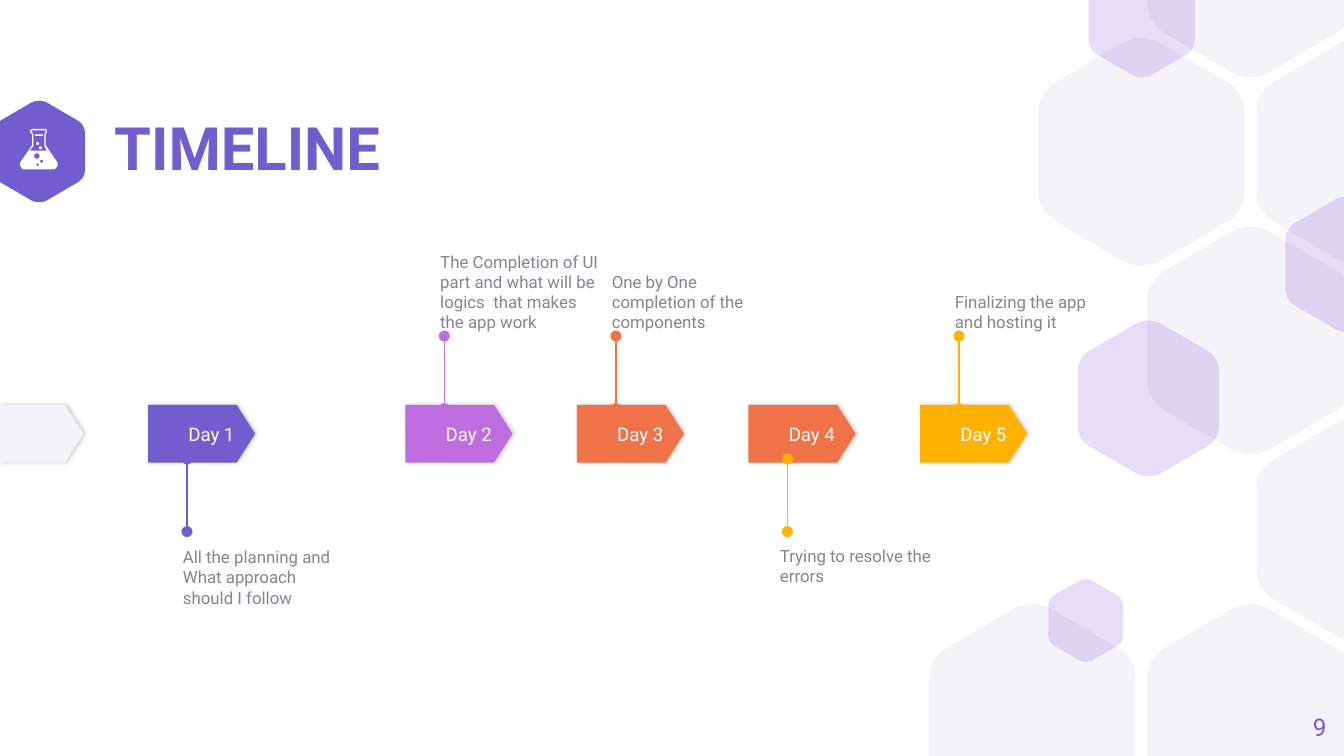
"""Build the five-day timeline slide."""
from math import cos, pi, sin

from lxml import etree
from pptx import Presentation
from pptx.dml.color import RGBColor
from pptx.enum.shapes import MSO_CONNECTOR, MSO_SHAPE
from pptx.enum.text import MSO_ANCHOR, MSO_AUTO_SIZE, PP_ALIGN
from pptx.oxml.ns import qn
from pptx.util import Pt

LEFT, RIGHT = PP_ALIGN.LEFT, PP_ALIGN.RIGHT
TOP, MID, LOW = MSO_ANCHOR.TOP, MSO_ANCHOR.MIDDLE, MSO_ANCHOR.BOTTOM
ARROW, OVAL, PILL = MSO_SHAPE.PENTAGON, MSO_SHAPE.OVAL, MSO_SHAPE.ROUNDED_RECTANGLE

THEME = dict(
    font="Roboto", main="725DCF", pink="BD6DE0", red="F07249", gold="FFB200",
    pale="F4F3F8", tint="5322C9", gray="89828F", white="FFFFFF",
    head=32, page=13, day=10, note=9,
)
WIDE, HIGH = 720, 405

# slot, name, arrow colour, pin colour, note, note shift, note top, anchor
DAYS = [
    (0, "Day 1", "main", "main", "All the planning and What approach should I follow", -2.2, 293, TOP),
    (1.5, "Day 2", "pink", "pink", "The Completion of UI part and what will be logics  that makes the app work",
     -2.2, 136.2, LOW),
    (2.5, "Day 3", "red", "red", "One by One completion of the components", -2.2, 136.2, LOW),
    (3.5, "Day 4", "red", "gold", "Trying to resolve the errors", -4, 272.2, LOW),
    (4.5, "Day 5", "gold", "gold", "Finalizing the app and hosting it", -2.2, 136.2, LOW),
]
CELLS = [(0, 3), (2, 3), (3, 0), (2, -1), (2, 1), (1, 0), (3, 2)]
TINTS = [(688.6, 105.3, 65.7), (561.6, 310.3, 40.1), (583.2, -21.4, 56.9), (577.4, 171.7, 75.6)]
BADGE = (-3.6, 54, 49.2)

FLASK = [(17.3, 69.1), (16.2, 69.8), (16.2, 70.8), (17.3, 72), (17.3, 77.8), (10.9, 87),
         (10.7, 88.6), (11.5, 90), (12.4, 90.7), (29.2, 90.7), (30.1, 90), (31, 88.6),
         (30.8, 87), (24.5, 77.8), (24.5, 72), (25.2, 70.8), (25.2, 69.8), (24.5, 69.1)]
GLASS = [(17.2, 69.9), (24.5, 69.9), (24.5, 70.5), (23.8, 71.9), (23.8, 78.3),
         (25.2, 80.8), (15.8, 80.8), (18, 78.3), (18, 71.9), (16.8, 70.5)]
HOLES = [(19.8, 83.6, 1.5), (22.3, 86.4, 0.85), (20.2, 88.2, 0.7)]
DROPS = [(OVAL, 20.9, 78.4, 1.6, 1.6), (OVAL, 19.4, 76.1, 1.6, 1.6), (PILL, 18.8, 72, 4.2, 0.8)]

X0, STEP, ROW, LONG, TALL = 79.3, 91.9, 216.9, 57.4, 31
PIN, DROP, DIP = 20.9, 38.9, 2


def tone(name):
    return RGBColor.from_string(THEME[name])


def paint(shape, name):
    shape.shadow.inherit = False
    shape.fill.solid()
    shape.fill.fore_color.rgb = tone(name)
    shape.line.fill.background()


def write(shape, text, size, color, anchor=MID, align=LEFT, inset=0, bold=False):
    frame = shape.text_frame
    frame.text = text
    frame.word_wrap = True
    frame.auto_size = MSO_AUTO_SIZE.NONE
    frame.vertical_anchor = anchor
    frame.margin_left = Pt(inset)
    frame.margin_top = frame.margin_right = frame.margin_bottom = 0
    para = frame.paragraphs[0]
    para.alignment = align
    font = para.font
    font.name, font.size, font.bold = THEME["font"], Pt(THEME[size]), bold
    font.color.rgb = tone(color)
    return para


def label(shapes, box, *args, **more):
    write(shapes.add_textbox(*map(Pt, box)), *args, **more)


def trace(shapes, loops, name, alpha=None):
    loops = [[(Pt(x), Pt(y)) for x, y in loop] for loop in loops]
    pen = shapes.build_freeform(*loops[0][0])
    for i, loop in enumerate(loops):
        if i:
            pen.move_to(*loop[0])
        pen.add_line_segments(loop[1:], close=True)
    shape = pen.convert_to_shape()
    paint(shape, name)
    if alpha:
        color = shape._element.spPr.find(".//" + qn("a:srgbClr"))
        etree.SubElement(color, qn("a:alpha"), val=str(alpha * 1000))


def curve(a, b, c, d, count=8):
    spots = [i / count for i in range(count + 1)]
    return [tuple((1 - t) ** 3 * p + 3 * (1 - t) ** 2 * t * q + 3 * (1 - t) * t * t * r + t ** 3 * s
                  for p, q, r, s in zip(a, b, c, d)) for t in spots]


def hexagon(shapes, x, y, wide, name, alpha=None):
    side = curve((1, 0.325), (1, 0.272), (0.97, 0.222), (0.92, 0.195))
    cap = curve((0.585, 0.018), (0.53, -0.006), (0.47, -0.006), (0.415, 0.018))
    top = side + cap + [(1 - u, v) for u, v in reversed(side)]
    ring = top + [(1 - u, 1 - v) for u, v in top]
    tall = wide * 1.105
    trace(shapes, [[(x + u * wide, min(max(y + v * tall, 0), HIGH)) for u, v in ring]], name, alpha)


def circle(x, y, r):
    return [(x + r * cos(i * pi / 8), y + r * sin(i * pi / 8)) for i in range(16)]


def arrow(shapes, x, wide, name):
    shape = shapes.add_shape(ARROW, Pt(x), Pt(ROW), Pt(wide), Pt(TALL))
    shape.adjustments[0] = 0.32
    paint(shape, name)
    glow = etree.SubElement(shape._element.spPr.find(qn("a:effectLst")), qn("a:outerShdw"),
                            blurRad=str(Pt(2.2)), dist=str(Pt(0.8)), dir="0", algn="bl", rotWithShape="0")
    color = etree.SubElement(glow, qn("a:srgbClr"), val="000000")
    etree.SubElement(color, qn("a:alpha"), val="20000")
    return shape


def pin(shapes, x, start, end, name):
    line = shapes.add_connector(MSO_CONNECTOR.STRAIGHT, Pt(x), Pt(start), Pt(x), Pt(end))
    line.line.width = Pt(0.75)
    line.line.color.rgb = tone(name)
    props = line._element.spPr
    for tip in ("a:headEnd", "a:tailEnd"):
        etree.SubElement(props.find(qn("a:ln")), qn(tip), type="oval")
    etree.SubElement(props, qn("a:effectLst"))


def main():
    deck = Presentation()
    deck.slide_width, deck.slide_height = Pt(WIDE), Pt(HIGH)
    shapes = deck.slides.add_slide(deck.slide_layouts[5]).shapes

    hexagon(shapes, *BADGE, "main")
    for col, row in CELLS:
        hexagon(shapes, 497.9 + 58.4 * col, 20.4 + 101.1 * row, 110.4, "pale")
    for spot in TINTS:
        hexagon(shapes, *spot, "tint", 15)

    title = shapes.title
    title.left, title.top, title.width, title.height = map(Pt, (61.2, 65.4, 473, 31))
    write(title, "TIMELINE", "head", "main", bold=True).line_spacing = 0.9
    label(shapes, (667.4, 373.7, 43.2, 31), "9", "page", "main", align=RIGHT)

    arrow(shapes, 0, 44.8, "pale")
    for slot, name, fill, mark, note, shift, top, anchor in DAYS:
        x = X0 + STEP * slot
        write(arrow(shapes, x, LONG, fill), name, "day", "white", inset=21.6)
        if top > ROW:
            end = ROW + TALL - DIP
            pin(shapes, x + PIN, end + DROP, end, mark)
        else:
            start = ROW + DIP
            pin(shapes, x + PIN, start, start - DROP, mark)
        label(shapes, (x + PIN + shift, top, 87.1, 41.8), note, "note", "gray", anchor)

    trace(shapes, [FLASK, GLASS] + [circle(*hole) for hole in HOLES], "white")
    for kind, *box in DROPS:
        paint(shapes.add_shape(kind, *map(Pt, box)), "white")
    deck.save("out.pptx")


if __name__ == "__main__":
    main()
